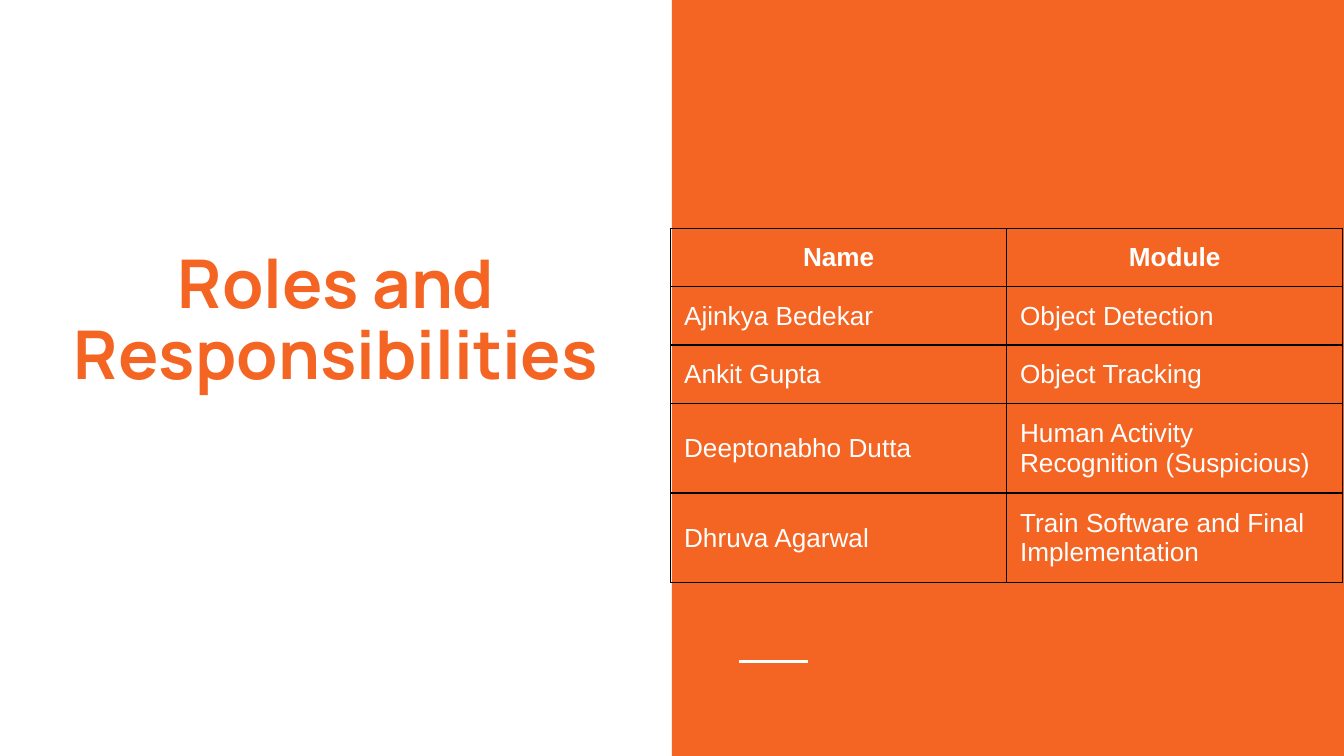
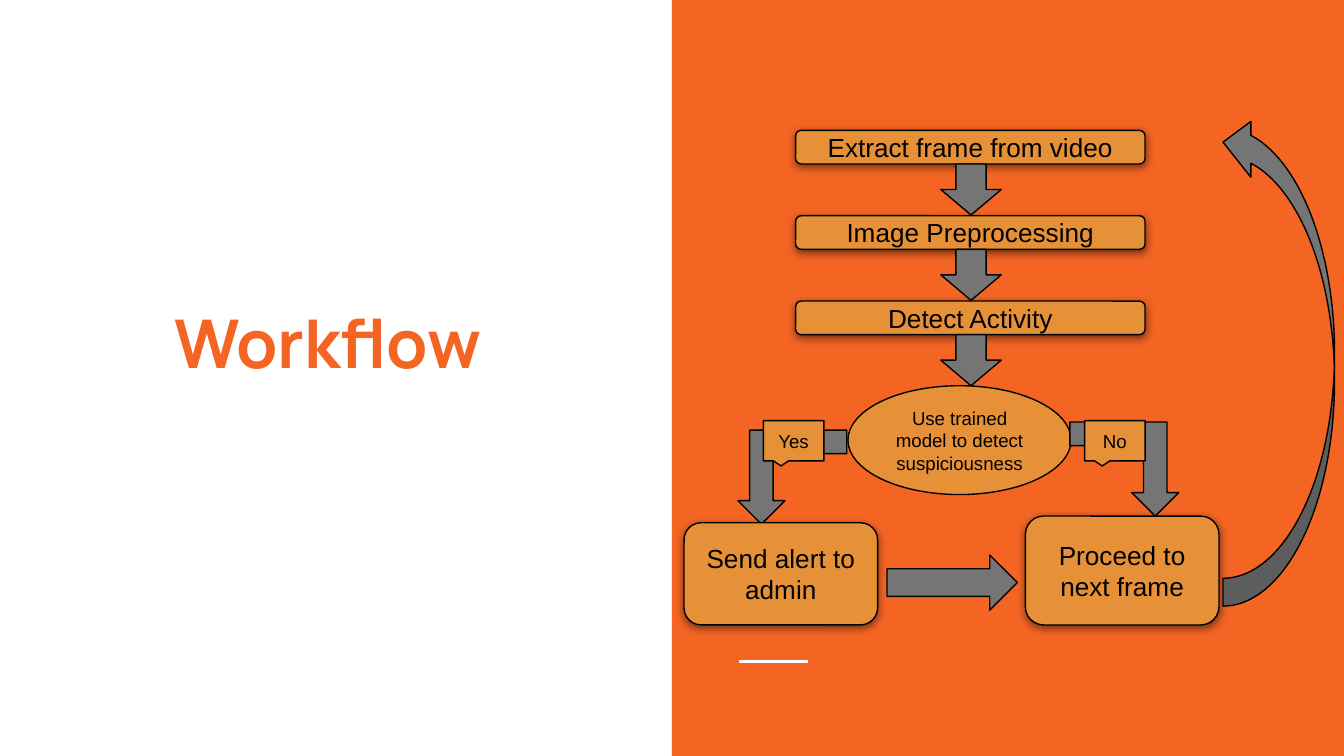
import pptx
import pptx.util
import pptx.dml.color
import pptx.enum.shapes
import pptx.enum.text
import pptx.oxml
import pptx.oxml.ns

Inches, Pt = pptx.util.Inches, pptx.util.Pt
SHAPE = pptx.enum.shapes.MSO_SHAPE
ALIGN = pptx.enum.text.PP_ALIGN
ANCHOR = pptx.enum.text.MSO_ANCHOR
NS = pptx.oxml.ns.nsdecls("a")

W, H = 10, 5.625
HALF = W / 2
ORANGE, AMBER, GREY, WHITE, BLACK = "F46524", "E69138", "757575", "FFFFFF", "000000"
INSET = 0.1

NO_EFFECT = f"<a:effectLst {NS}/>"
SOFT_SHADOW = (
    f'<a:effectLst {NS}><a:outerShdw blurRad="57150" dist="19050" dir="5400000" '
    f'algn="bl" rotWithShape="0"><a:srgbClr val="{BLACK}"><a:alpha val="50000"/>'
    "</a:srgbClr></a:outerShdw></a:effectLst>"
)


def rgb(value):
    return pptx.dml.color.RGBColor.from_string(value)


def write(tf, text, size=14, font="Arial", color=BLACK, bold=False,
          align=ALIGN.CENTER, spacing=None):
    tf.word_wrap = True
    p = tf.paragraphs[0]
    p.alignment = align
    if spacing:
        p.line_spacing = spacing
    r = p.add_run()
    r.text = text
    r.font.size, r.font.name, r.font.bold = Pt(size), font, bold
    r.font.color.rgb = rgb(color)


prs = pptx.Presentation()
prs.slide_width, prs.slide_height = Inches(W), Inches(H)

# Split background, short rule and title on every slide
titles = [
    ("Roles and Responsibilities", (0.29, 1.53, 4.42, 1.44), ANCHOR.BOTTOM, 0.04, 0.88),
    ("Workflow", (0.34, 2.2, 4.2, 0.68), ANCHOR.MIDDLE, INSET, None),
]
for title, box, anchor, bottom, spacing in titles:
    s = prs.slides.add_slide(prs.slide_layouts[6])
    band = s.shapes.add_shape(SHAPE.RECTANGLE, *map(Inches, (HALF, 0, HALF, H)))
    band.shadow.inherit = False
    band.fill.solid()
    band.fill.fore_color.rgb = rgb(ORANGE)
    band.line.fill.background()

    rule = s.shapes.add_connector(pptx.enum.shapes.MSO_CONNECTOR.STRAIGHT,
                                  *map(Inches, (5.5, 4.92, 6.01, 4.92)))
    rule.line.color.rgb = rgb(WHITE)
    rule.line.width = Pt(1.5)
    rule._element.spPr.append(pptx.oxml.parse_xml(NO_EFFECT))

    tf = s.shapes.add_textbox(*map(Inches, box)).text_frame
    tf.vertical_anchor = anchor
    tf.margin_left = tf.margin_right = tf.margin_top = Inches(INSET)
    tf.margin_bottom = Inches(bottom)
    write(tf, title, size=36, font="Manrope", color=ORANGE, bold=True, spacing=spacing)

roles, workflow = prs.slides

# Roles table
members = [
    ("Name", "Module"),
    ("Ajinkya Bedekar", "Object Detection"),
    ("Ankit Gupta", "Object Tracking"),
    ("Deeptonabho Dutta", "Human Activity Recognition (Suspicious)"),
    ("Dhruva Agarwal", "Train Software and Final Implementation"),
]
row_heights = [0.42, 0.42, 0.42, 0.64, 0.64]
table = roles.shapes.add_table(len(members), 2, Inches(4.99), Inches(1.7),
                               Inches(HALF), Inches(sum(row_heights))).table
table.first_row = table.horz_banding = False
for row, height in zip(table.rows, row_heights):
    row.height = Inches(height)
for i, member in enumerate(members):
    for j, text in enumerate(member):
        cell = table.cell(i, j)
        cell.vertical_anchor = ANCHOR.MIDDLE
        cell.margin_left = cell.margin_right = Inches(INSET)
        cell.margin_top = cell.margin_bottom = Inches(INSET)
        write(cell.text_frame, text, color=WHITE, bold=i == 0,
              align=ALIGN.CENTER if i == 0 else ALIGN.LEFT)
        tcPr = cell._tc.get_or_add_tcPr()
        for side in ("lnL", "lnR", "lnT", "lnB"):
            tcPr.append(pptx.oxml.parse_xml(
                f'<a:{side} {NS} w="9525"><a:solidFill><a:srgbClr val="{BLACK}"/>'
                f"</a:solidFill></a:{side}>"))
        cell.fill.background()

# Workflow: steps stacked down one column, then a yes/no branch
STEP_TOP, STEP_H, ARROW_H = 0.97, 0.25, 0.38
steps = ["Extract frame from video", "Image Preprocessing", "Detect Activity"]
# kind, box, text, text size, options
parts = []
for i, step in enumerate(steps):
    top = STEP_TOP + i * (STEP_H + ARROW_H + 0.005)
    parts += [
        (SHAPE.ROUNDED_RECTANGLE, (5.92, top, 2.6, STEP_H), step, 14, {}),
        (SHAPE.DOWN_ARROW, (7, top + STEP_H, 0.45, ARROW_H), "", 0, {}),
    ]
callout = {"adjust": (-0.208, 0.625)}
parts += [
    (SHAPE.OVAL, (6.31, 2.87, 1.66, 0.81),
     "Use trained model to detect suspiciousness", 10, {}),
    (SHAPE.BENT_UP_ARROW, (7.96, 3.14, 0.81, 0.7), "", 0, {"turn": 180, "flip": True}),
    (SHAPE.BENT_UP_ARROW, (5.49, 3.2, 0.81, 0.7), "", 0, {"turn": 180}),
    (SHAPE.RECTANGULAR_CALLOUT, (5.68, 3.13, 0.45, 0.3), "Yes", 10, callout),
    (SHAPE.RECTANGULAR_CALLOUT, (8.07, 3.13, 0.45, 0.3), "No", 10, callout),
    (SHAPE.ROUNDED_RECTANGLE, (7.63, 3.84, 1.44, 0.81), "Proceed to next frame", 14, {}),
    (SHAPE.CURVED_LEFT_ARROW, (9.1, 0.85, 0.83, 3.66), "", 0,
     {"turn": 180, "flip": True}),
    (SHAPE.ROUNDED_RECTANGLE, (5.09, 3.89, 1.44, 0.76), "Send alert to admin", 14, {}),
    (SHAPE.RIGHT_ARROW, (6.6, 4.13, 0.97, 0.41), "", 0, {}),
]
for kind, box, text, size, options in parts:
    sp = workflow.shapes.add_shape(kind, *map(Inches, box))
    sp.fill.solid()
    sp.fill.fore_color.rgb = rgb(AMBER if text else GREY)
    sp.line.color.rgb = rgb(BLACK)
    sp.line.width = Pt(0.75)
    sp.rotation = options.get("turn", 0)
    if options.get("flip"):
        sp._element.spPr.xfrm.set("flipH", "1")
    for i, value in enumerate(options.get("adjust", ())):
        sp.adjustments[i] = value
    raised = kind == SHAPE.ROUNDED_RECTANGLE
    sp._element.spPr.append(pptx.oxml.parse_xml(SOFT_SHADOW if raised else NO_EFFECT))
    if text:
        tf = sp.text_frame
        tf.vertical_anchor = ANCHOR.MIDDLE
        tf.margin_left = tf.margin_right = Inches(INSET)
        tf.margin_top = tf.margin_bottom = Inches(INSET)
        write(tf, text, size=size)

prs.save("out.pptx")
